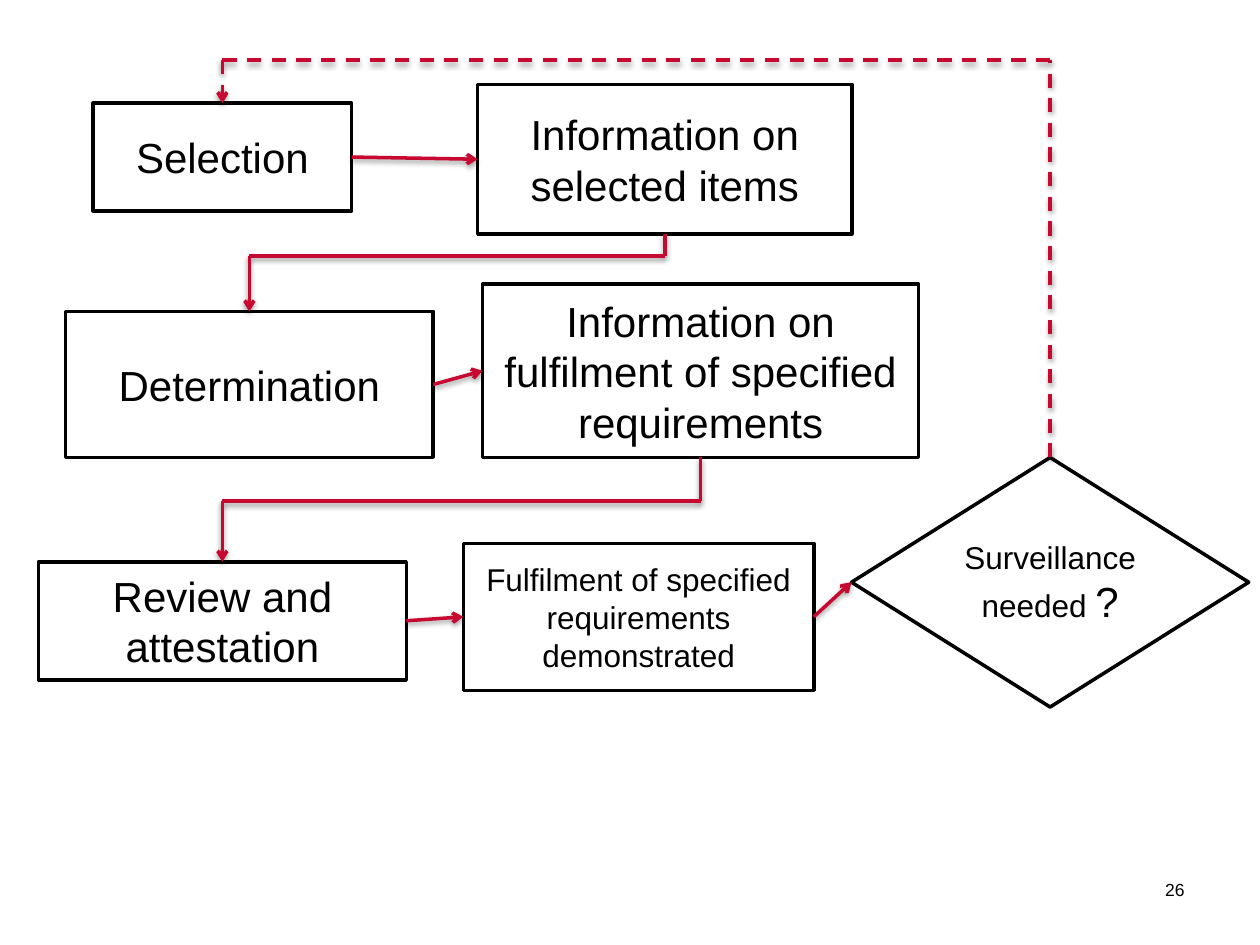
from itertools import pairwise
from lxml import etree
from pptx import Presentation
from pptx import util as u
from pptx.dml.color import RGBColor
from pptx.enum import dml, shapes, text
from pptx.oxml import ns

BLACK = RGBColor(0x00, 0x00, 0x00)
WHITE = RGBColor(0xFF, 0xFF, 0xFF)
RED = RGBColor(0xC7, 0x09, 0x32)
FONT = "Arial"
RECT = shapes.MSO_SHAPE.RECTANGLE
DECISION = shapes.MSO_SHAPE.FLOWCHART_DECISION
SHADOW = {"blurRad": u.Pt(3.1), "dist": u.Pt(1.6), "dir": 90 * 60000, "rotWithShape": 0}


def set_attrs(obj, values):
    for name, value in values.items():
        setattr(obj, name, value)


def add_child(parent, tag, **attrs):
    return etree.SubElement(parent, ns.qn(tag), {k: str(int(v)) if k != "type" and k != "val" else v
                                                 for k, v in attrs.items()})


def write_text(sp, runs, align):
    tf = sp.text_frame
    set_attrs(tf, {"word_wrap": True, "vertical_anchor": text.MSO_ANCHOR.MIDDLE})
    p = tf.paragraphs[0]
    p.alignment = align
    for words, size in runs:
        r = p.add_run()
        r.text = words
        set_attrs(r.font, {"name": FONT, "size": u.Pt(size)})
        r.font.color.rgb = BLACK


def add_box(s, kind, box, *runs):
    sp = s.shapes.add_shape(kind, *map(u.Pt, box))
    sp.shadow.inherit = False
    sp.fill.solid()
    sp.fill.fore_color.rgb = WHITE
    sp.line.color.rgb = BLACK
    sp.line.width = u.Pt(2)
    write_text(sp, runs, text.PP_ALIGN.CENTER)
    return sp


def add_page_number(s, number, box):
    sp = s.shapes.add_textbox(*map(u.Pt, box))
    write_text(sp, [(number, 10)], text.PP_ALIGN.RIGHT)


def add_shadow(cx):
    effects = add_child(cx._element.spPr, "a:effectLst")
    outer = add_child(effects, "a:outerShdw", **SHADOW)
    color = add_child(outer, "a:srgbClr", val=str(BLACK))
    add_child(color, "a:alpha", val="38000")


def add_route(s, *points, dash=None):
    for start, end in pairwise(points):
        cx = s.shapes.add_connector(shapes.MSO_CONNECTOR.STRAIGHT, *start, *end)
        cx.line.color.rgb = RED
        set_attrs(cx.line, {"width": u.Pt(2), "dash_style": dash})
        if end == points[-1]:
            add_child(cx.line._get_or_add_ln(), "a:tailEnd", type="arrow")
        add_shadow(cx)


def left(sp):
    return sp.left, sp.top + sp.height // 2


def right(sp):
    return sp.left + sp.width, sp.top + sp.height // 2


def top(sp):
    return sp.left + sp.width // 2, sp.top


def bottom(sp):
    return sp.left + sp.width // 2, sp.top + sp.height


def add_elbow(s, start, end, y, dash=None):
    level = u.Pt(y)
    add_route(s, start, (start[0], level), (end[0], level), end, dash=dash)


def main():
    prs = Presentation()
    set_attrs(prs, {"slide_width": u.Pt(720), "slide_height": u.Pt(540)})
    s = prs.slides.add_slide(prs.slide_layouts[6])

    add_page_number(s, "26", (633.6, 494, 50.4, 28.8))
    selection = add_box(s, RECT, (53.3, 59, 147.6, 61.5), ("Selection", 24))
    items = add_box(s, RECT, (273, 48.2, 213.8, 85.6), ("Information on selected items", 24))
    fulfilment = add_box(s, RECT, (275.8, 162.4, 249.1, 99),
                         ("Information on fulfilment of specified requirements", 24))
    determination = add_box(s, RECT, (37.4, 178, 210.2, 83.4), ("Determination", 24))
    review = add_box(s, RECT, (22, 321, 210.2, 67.5), ("Review and attestation", 24))
    demonstrated = add_box(s, RECT, (264.8, 310.5, 200.2, 84),
                           ("Fulfilment of specified requirements demonstrated", 18))
    surveillance = add_box(s, DECISION, (486.6, 261.4, 227, 142.6),
                           ("Surveillance needed ", 18), ("?", 24))

    for source, target in ((selection, items), (determination, fulfilment),
                           (review, demonstrated), (demonstrated, surveillance)):
        add_route(s, right(source), left(target))
    add_elbow(s, bottom(items), top(determination), 146.2)
    add_elbow(s, bottom(fulfilment), top(review), 286.4)
    add_elbow(s, top(surveillance), top(selection), 34.4, dml.MSO_LINE.DASH)

    prs.save("out.pptx")


if __name__ == "__main__":
    main()
